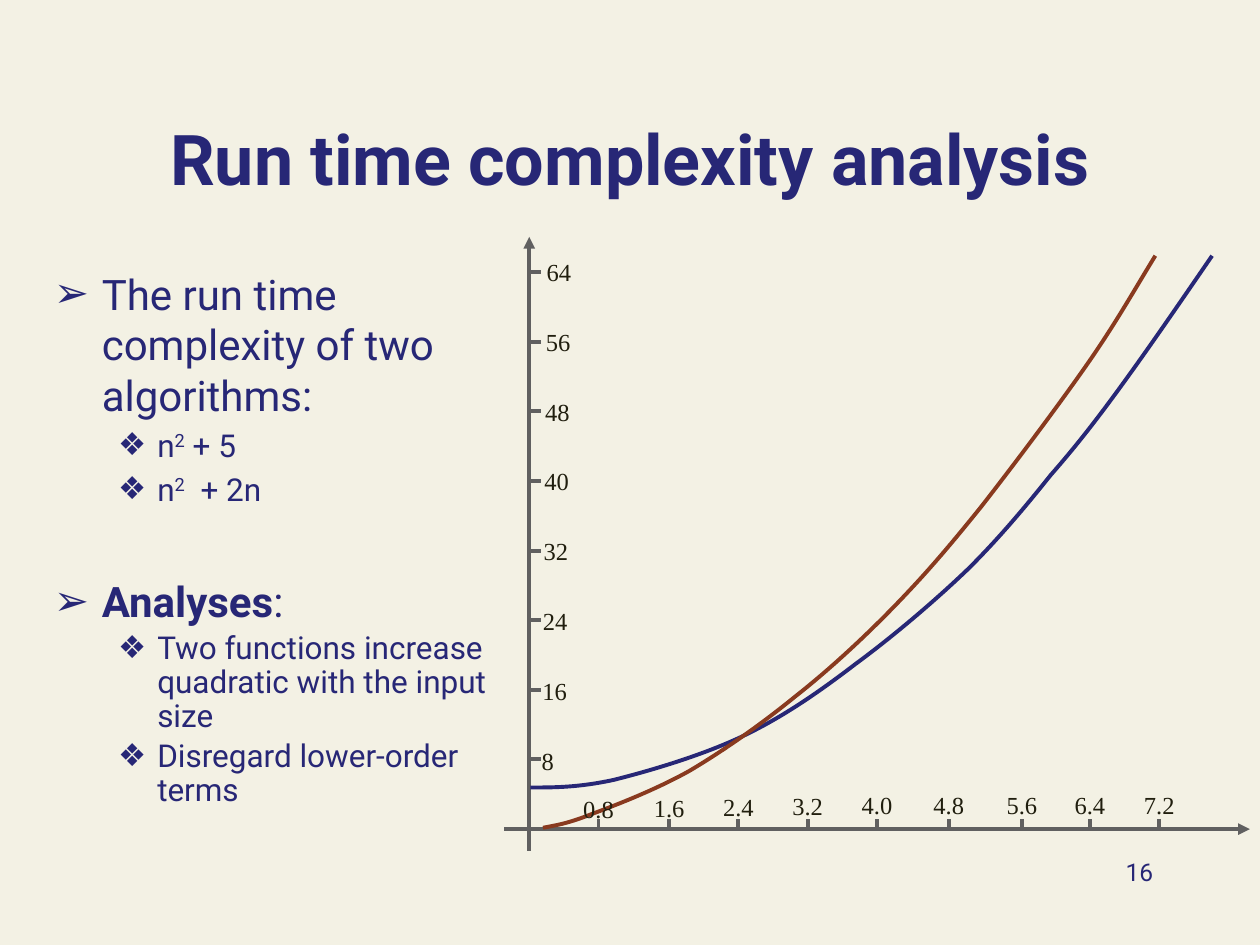
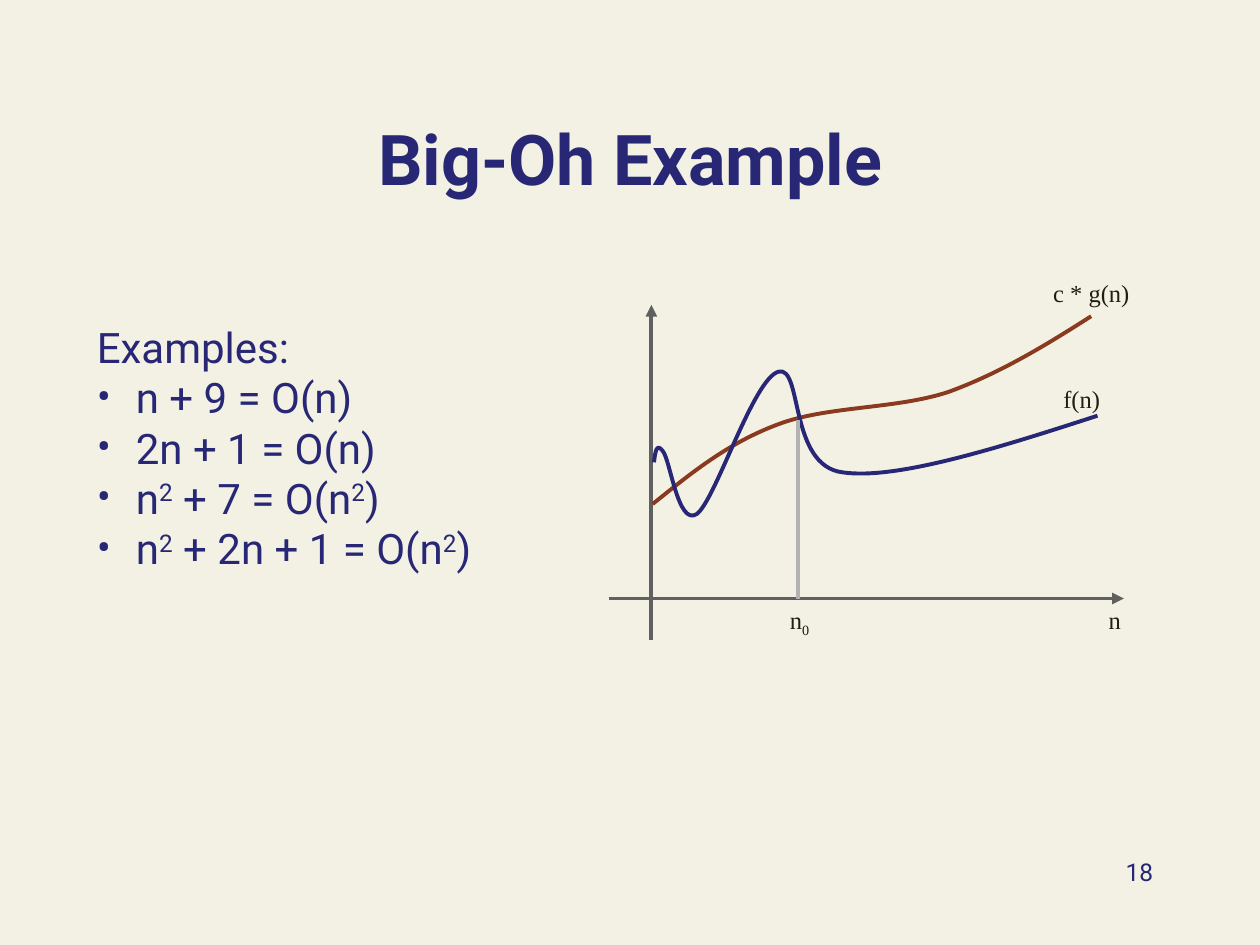
import pptx
import pptx.dml.color
import pptx.enum.shapes
import pptx.enum.text
import pptx.oxml
import pptx.oxml.ns
import pptx.util
from lxml import etree

Inches, Pt = pptx.util.Inches, pptx.util.Pt
qn = pptx.oxml.ns.qn
ALIGN = pptx.enum.text.PP_ALIGN

COLORS = {"paper": "F3F1E4", "navy": "272776", "rust": "893A1F",
          "axis": "606060", "guide": "B2B2B2", "ink": "201E0E"}
BODY_FONT, CHART_FONT = "Roboto", "Times New Roman"
LINE_WIDTH = 2.25
BASELINES = {"super": 30000, "sub": -25000}

# Paragraph styles: size, left margin, hanging indent, bullet, space before
STYLES = {
    "plain": dict(size=24),
    "dot": dict(size=24, margin=0.31, hang=0.31, bullet="•"),
    "point": dict(size=24, margin=0.38, hang=0.38, bullet="➢"),
    "next point": dict(size=24, margin=0.38, hang=0.38, bullet="➢", before=38.8),
    "detail": dict(size=18, margin=0.82, hang=0.31, bullet="❖", before=3.6),
    "tight detail": dict(size=18, margin=0.82, hang=0.31, bullet="❖", before=3.6,
                         spacing=0.9),
}

# A text is a list of runs; a run is a string or (string, emphasis)
SQUARED = ("2", "super")
RUN_TIME_POINTS = [
    ("point", ["The run time complexity of two algorithms:"]),
    ("detail", ["n", SQUARED, " + 5"]),
    ("detail", ["n", SQUARED, "  + 2n"]),
    ("next point", [("Analyses", "bold"), ":"]),
    ("tight detail", ["Two functions increase quadratic with the input size"]),
    ("tight detail", ["Disregard lower-order terms"]),
]
BIG_OH_POINTS = [
    ("plain", ["Examples:"]),
    ("dot", ["n + 9 = O(n)"]),
    ("dot", ["2n + 1 = O(n)"]),
    ("dot", ["n", SQUARED, " + 7 = O(n", SQUARED, ")"]),
    ("dot", ["n", SQUARED, " + 2n + 1 = O(n", SQUARED, ")"]),
]

# Curves: a start point, then three Bezier points per segment, in inches
N2_PLUS_5 = [
    (4.21, 6.25), (4.4, 6.25), (4.59, 6.25), (4.87, 6.19),
    (5.15, 6.12), (5.56, 6), (5.88, 5.85), (6.2, 5.7), (6.49, 5.5), (6.79, 5.27),
    (7.09, 5.05), (7.43, 4.76), (7.69, 4.51), (7.94, 4.26), (8.14, 4.02), (8.34, 3.77),
    (8.55, 3.53), (8.72, 3.31), (8.93, 3.02), (9.14, 2.73), (9.38, 2.38), (9.62, 2.03)]
N2_PLUS_2N = [
    (4.31, 6.57), (4.41, 6.55), (4.5, 6.54), (4.7, 6.46),
    (4.89, 6.39), (5.2, 6.27), (5.47, 6.12), (5.74, 5.96), (6.04, 5.75), (6.31, 5.53),
    (6.59, 5.31), (6.88, 5.04), (7.13, 4.78), (7.37, 4.53), (7.54, 4.33), (7.79, 4.02),
    (8.04, 3.7), (8.4, 3.22), (8.63, 2.89), (8.86, 2.56), (9.01, 2.29), (9.17, 2.03)]
C_G_OF_N = [
    (5.18, 4), (5.48, 3.76), (5.77, 3.52), (6.17, 3.37),
    (6.56, 3.22), (7.11, 3.25), (7.53, 3.11), (7.94, 2.96), (8.3, 2.74), (8.66, 2.51)]
F_OF_N = [
    (5.19, 3.67), (5.2, 3.59), (5.21, 3.51), (5.26, 3.58),
    (5.32, 3.65), (5.38, 4.18), (5.53, 4.08), (5.68, 3.97), (5.98, 3), (6.18, 2.95),
    (6.37, 2.9), (6.26, 3.7), (6.69, 3.75), (7.11, 3.81), (7.91, 3.56), (8.71, 3.3)]

ORIGIN = (4.2, 6.58)
Y_VALUES = range(8, 65, 8)
Y_UNIT = 0.5525 / 8
X_TICKS = {"0.8": 4.75, "1.6": 5.31, "2.4": 5.86, "3.2": 6.41, "4.0": 6.96,
           "4.8": 7.53, "5.6": 8.11, "6.4": 8.65, "7.2": 9.2}
TICK = 0.08
BIG_OH_LABELS = [
    (8.26, 2.16, 0.81, ["c * g(n)"]),
    (8.34, 3, 0.49, ["f(n)"]),
    (6.17, 4.75, 0.36, ["n", ("0", "sub")]),
    (8.7, 4.75, 0.3, ["n"]),
]


def rgb(name):
    return pptx.dml.color.RGBColor.from_string(COLORS[name])


def set_bullet(paragraph, bullet, margin, hang):
    properties = paragraph._p.get_or_add_pPr()
    properties.set("marL", str(Inches(margin)))
    properties.set("indent", str(-Inches(hang)))
    namespace = pptx.oxml.ns.nsdecls("a")
    defaults = properties.find(qn("a:defRPr"))
    for xml in (f'<a:buClr {namespace}><a:srgbClr val="{COLORS["navy"]}"/></a:buClr>',
                f'<a:buFont {namespace} typeface="{BODY_FONT}"/>',
                f'<a:buChar {namespace} char="{bullet}"/>'):
        defaults.addprevious(pptx.oxml.parse_xml(xml))


def write(paragraph, runs, size, font=BODY_FONT, color="navy", bold=None, align=None,
          bullet=None, margin=0, hang=0, before=0, spacing=None):
    paragraph.font.size = Pt(size)
    paragraph.font.name = font
    paragraph.font.bold = bold
    paragraph.font.color.rgb = rgb(color)
    paragraph.alignment = align
    paragraph.space_before = Pt(before)
    paragraph.line_spacing = spacing
    if bullet:
        set_bullet(paragraph, bullet, margin, hang)
    for part in runs:
        text, emphasis = (part, None) if isinstance(part, str) else part
        run = paragraph.add_run()
        run.text = text
        if emphasis == "bold":
            run.font.bold = True
        elif emphasis:
            run._r.get_or_add_rPr().set("baseline", str(BASELINES[emphasis]))


def add_text(slide, box, paragraphs, wrap=True, anchor="TOP"):
    """Add a text box; paragraphs is a list of (runs, options of write)."""
    frame = slide.shapes.add_textbox(*map(Inches, box)).text_frame
    frame.word_wrap = wrap
    frame.vertical_anchor = pptx.enum.text.MSO_ANCHOR[anchor]
    for i, (runs, options) in enumerate(paragraphs):
        write(frame.add_paragraph() if i else frame.paragraphs[0], runs, **options)


def add_points(slide, box, points):
    add_text(slide, box, [(runs, STYLES[style]) for style, runs in points])


def add_label(slide, left, top, width, runs):
    options = dict(size=14, font=CHART_FONT, color="ink")
    add_text(slide, (left, top, width, 0.34), [(runs, options)], wrap=False)


def add_line(slide, start, end, color="axis", arrow=False):
    line = slide.shapes.add_connector(pptx.enum.shapes.MSO_CONNECTOR.STRAIGHT,
                                      *map(Inches, (*start, *end)))
    line.line.color.rgb = rgb(color)
    line.line.width = Pt(LINE_WIDTH)
    if arrow:
        etree.SubElement(line.line._get_or_add_ln(), qn("a:tailEnd"), type="triangle")
    etree.SubElement(line._element.spPr, qn("a:effectLst"))


def add_curve(slide, knots, color):
    """Draw straight segments between the ends, then bend each into a Bezier."""
    points = [tuple(map(Inches, knot)) for knot in knots]
    builder = slide.shapes.build_freeform(*points[0])
    builder.add_line_segments(points[3::3], close=False)
    curve = builder.convert_to_shape()
    for i, segment in enumerate(list(curve._element.iter(qn("a:lnTo")))):
        bend = etree.Element(qn("a:cubicBezTo"))
        for x, y in points[3 * i + 1:3 * i + 4]:
            etree.SubElement(bend, qn("a:pt"), x=str(x - curve.left), y=str(y - curve.top))
        segment.getparent().replace(segment, bend)
    curve.shadow.inherit = False
    curve.fill.background()
    curve.line.color.rgb = rgb(color)
    curve.line.width = Pt(LINE_WIDTH)


def add_slide(deck, title, number):
    slide = deck.slides.add_slide(deck.slide_layouts[6])
    slide.background.fill.solid()
    slide.background.fill.fore_color.rgb = rgb("paper")
    add_text(slide, (0.75, 0.55, 8.5, 1.08),
             [([title], dict(size=40, bold=True, align=ALIGN.CENTER))], anchor="BOTTOM")
    return slide, number


def add_number(slide, number):
    add_text(slide, (7.17, 6.75, 2.08, 0.5),
             [([str(number)], dict(size=14, align=ALIGN.RIGHT))])


def add_run_time_slide(deck):
    slide, number = add_slide(deck, "Run time complexity analysis", 16)
    add_points(slide, (0.33, 2.08, 3.83, 4.92), RUN_TIME_POINTS)
    add_number(slide, number)
    x0, y0 = ORIGIN
    add_line(slide, (x0, 6.75), (x0, 1.88), arrow=True)
    add_line(slide, (4, y0), (9.92, y0), arrow=True)
    for value in reversed(Y_VALUES):
        y = y0 - value * Y_UNIT
        add_line(slide, (x0 + 0.01, y), (x0 + 0.01 + TICK, y))
    for x in X_TICKS.values():
        add_line(slide, (x, y0), (x, y0 - TICK))
    add_curve(slide, N2_PLUS_5, "navy")
    add_curve(slide, N2_PLUS_2N, "rust")
    # Both rows of labels drift a little from their ticks
    for i, value in enumerate(Y_VALUES):
        add_label(slide, x0 + 0.04 * i / 7, 5.87 - 3.88 * i / 7,
                  0.4 if i else 0.3, [str(value)])
    for i, (value, x) in enumerate(X_TICKS.items()):
        add_label(slide, x - 0.22, 6.25 - 0.03 * min(i / 4, 1), 0.45, [value])


def add_big_oh_slide(deck):
    slide, number = add_slide(deck, "Big-Oh Example", 18)
    add_number(slide, number)
    add_line(slide, (5.17, 5.08), (5.17, 2.42), arrow=True)
    add_line(slide, (4.83, 4.75), (8.92, 4.75), arrow=True)
    add_curve(slide, C_G_OF_N, "rust")
    add_curve(slide, F_OF_N, "navy")
    for label in BIG_OH_LABELS[:2]:
        add_label(slide, *label)
    add_line(slide, (6.33, 3.33), (6.33, 4.75), color="guide")
    for label in BIG_OH_LABELS[2:]:
        add_label(slide, *label)
    add_points(slide, (0.67, 2.5, 4.33, 2.12), BIG_OH_POINTS)


def main():
    deck = pptx.Presentation()
    deck.slide_width, deck.slide_height = Inches(10), Inches(7.5)
    add_run_time_slide(deck)
    add_big_oh_slide(deck)
    deck.save("out.pptx")


if __name__ == "__main__":
    main()
